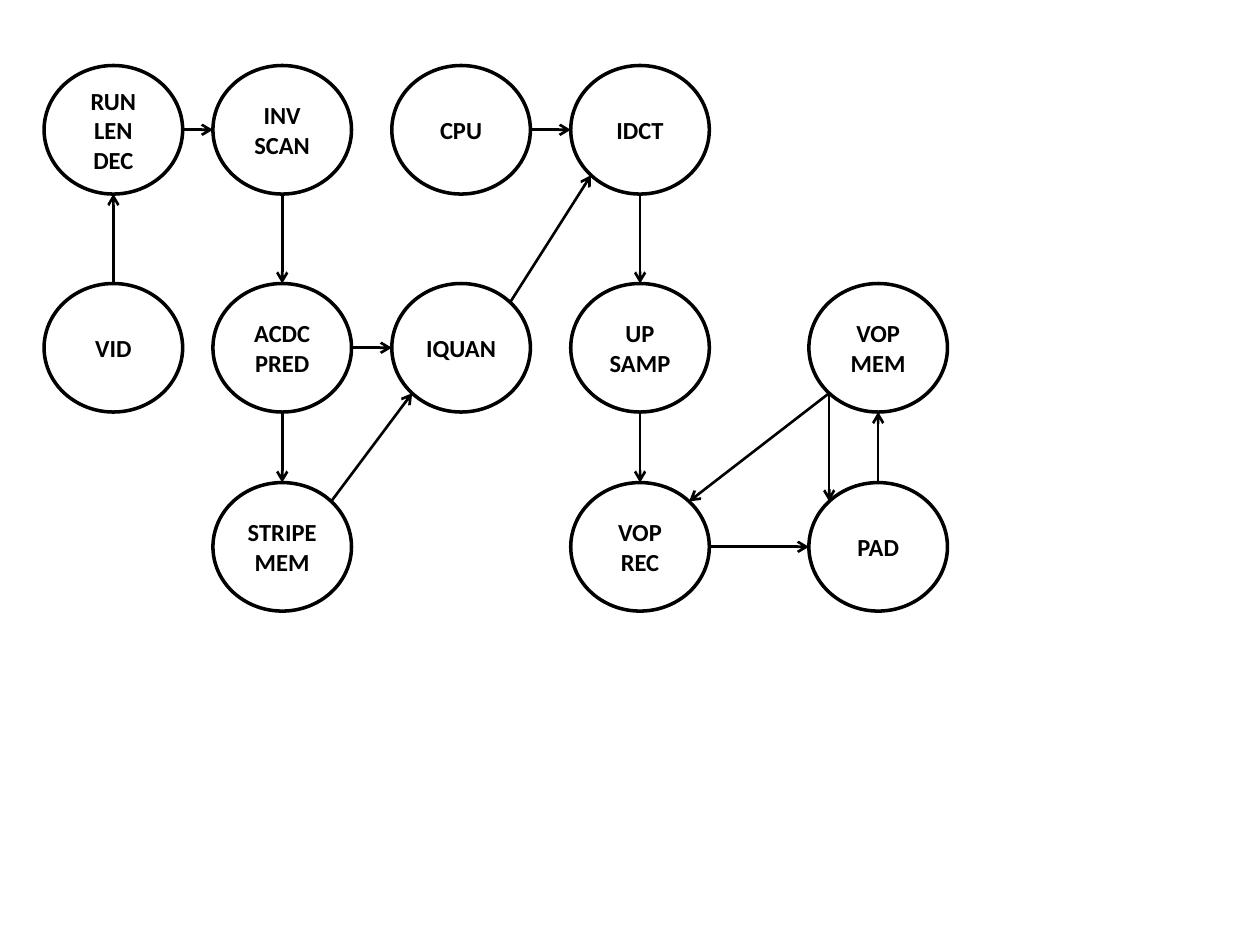
from dataclasses import dataclass
from math import sqrt

from lxml import etree
from pptx import Presentation
from pptx.dml.color import RGBColor
from pptx.enum.shapes import MSO_CONNECTOR, MSO_SHAPE
from pptx.enum.text import MSO_ANCHOR, PP_ALIGN
from pptx.oxml.ns import qn
from pptx.util import Inches, Pt

ELLIPSE = MSO_SHAPE.OVAL
STRAIGHT = MSO_CONNECTOR.STRAIGHT
MIDDLE = MSO_ANCHOR.MIDDLE
CENTER = PP_ALIGN.CENTER


@dataclass(frozen=True)
class Theme:
    ink: RGBColor = RGBColor(0, 0, 0)
    paper: RGBColor = RGBColor(255, 255, 255)
    font_name: str = "Calibri"
    label_size: int = 14
    node_line: float = 2
    arrow_line: float = 1.5


# Node size and grid, in inches
NODE_WIDTH, NODE_HEIGHT = 1.1, 1.02
COLUMNS = [0.35, 1.69, 3.11, 4.53, 6.42]
ROWS = [0.52, 2.25, 3.83]

# Label: (column, row)
NODES = {
    "RUN LEN DEC": (0, 0), "INV SCAN": (1, 0), "VID": (0, 1),
    "ACDC PRED": (1, 1), "STRIPE MEM": (1, 2), "CPU": (2, 0),
    "IQUAN": (2, 1), "IDCT": (3, 0), "UP SAMP": (3, 1),
    "VOP MEM": (4, 1), "PAD": (4, 2), "VOP REC": (3, 2),
}

# Points on the ellipse, as offsets from its centre in half sizes
DIAGONAL = sqrt(0.5)
SITES = {
    "top": (0, -1), "bottom": (0, 1), "left": (-1, 0), "right": (1, 0),
    "top left": (-DIAGONAL, -DIAGONAL), "top right": (DIAGONAL, -DIAGONAL),
    "bottom left": (-DIAGONAL, DIAGONAL),
}

# Start node, its site, end node, its site
ARROWS = [
    ("VID", "top", "RUN LEN DEC", "bottom"),
    ("RUN LEN DEC", "right", "INV SCAN", "left"),
    ("INV SCAN", "bottom", "ACDC PRED", "top"),
    ("ACDC PRED", "bottom", "STRIPE MEM", "top"),
    ("ACDC PRED", "right", "IQUAN", "left"),
    ("STRIPE MEM", "top right", "IQUAN", "bottom left"),
    ("IQUAN", "top right", "IDCT", "bottom left"),
    ("CPU", "right", "IDCT", "left"),
    ("IDCT", "bottom", "UP SAMP", "top"),
    ("UP SAMP", "bottom", "VOP REC", "top"),
    ("VOP REC", "right", "PAD", "left"),
    ("VOP MEM", "bottom left", "VOP REC", "top right"),
    ("PAD", "top", "VOP MEM", "bottom"),
    ("VOP MEM", "bottom left", "PAD", "top left"),
]


class Diagram:
    def __init__(self, slide, theme):
        self.slide = slide
        self.theme = theme

    def set_line(self, line, width):
        line.color.rgb = self.theme.ink
        line.width = Pt(width)

    def add_node(self, label, left, top):
        shape = self.slide.shapes.add_shape(
            ELLIPSE, Inches(left), Inches(top),
            Inches(NODE_WIDTH), Inches(NODE_HEIGHT))
        shape.shadow.inherit = False
        shape.fill.solid()
        shape.fill.fore_color.rgb = self.theme.paper
        self.set_line(shape.line, self.theme.node_line)

        text_frame = shape.text_frame
        text_frame.word_wrap = True
        text_frame.vertical_anchor = MIDDLE
        paragraph = text_frame.paragraphs[0]
        paragraph.alignment = CENTER
        run = paragraph.add_run()
        run.text = label
        font_format = {"name": self.theme.font_name,
                       "size": Pt(self.theme.label_size), "bold": True}
        for attribute, value in font_format.items():
            setattr(run.font, attribute, value)
        run.font.color.rgb = self.theme.ink

    def add_arrow(self, start, end):
        connector = self.slide.shapes.add_connector(
            STRAIGHT, *[Inches(value) for value in (*start, *end)])
        self.set_line(connector.line, self.theme.arrow_line)
        properties = connector.element.spPr
        line = properties.find(qn("a:ln"))
        etree.SubElement(line, qn("a:tailEnd"), type="arrow")
        etree.SubElement(properties, qn("a:effectLst"))


def node_position(label):
    column, row = NODES[label]
    return COLUMNS[column], ROWS[row]


def site_position(label, site):
    left, top = node_position(label)
    across, down = SITES[site]
    return (left + NODE_WIDTH / 2 * (1 + across),
            top + NODE_HEIGHT / 2 * (1 + down))


def main():
    presentation = Presentation()
    presentation.slide_width = Inches(10)
    presentation.slide_height = Inches(7.5)
    slide = presentation.slides.add_slide(presentation.slide_layouts[6])
    diagram = Diagram(slide, Theme())

    # Processing blocks
    for label in NODES:
        diagram.add_node(label, *node_position(label))

    # Data flow
    for source, source_site, target, target_site in ARROWS:
        diagram.add_arrow(site_position(source, source_site),
                          site_position(target, target_site))

    presentation.save("out.pptx")


if __name__ == "__main__":
    main()
